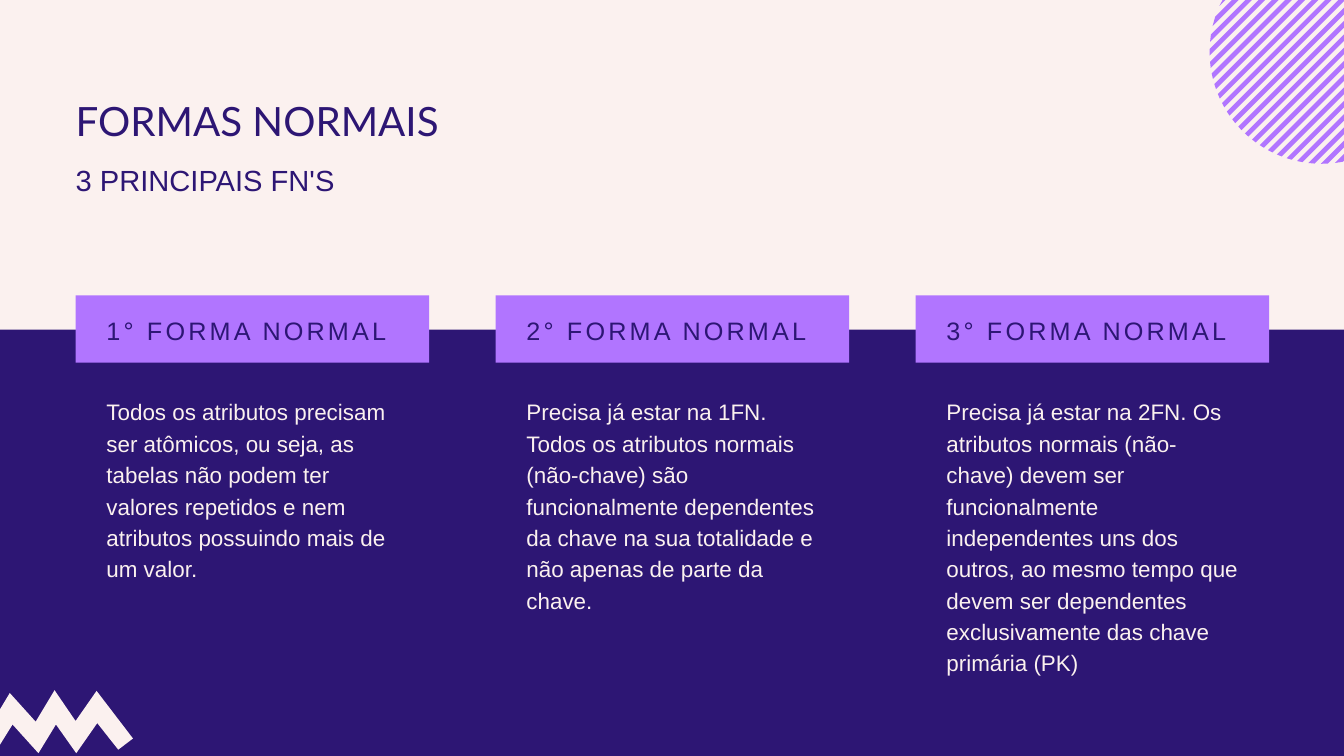
from math import sqrt

from pptx import Presentation
from pptx.dml.color import RGBColor
from pptx.enum.shapes import MSO_SHAPE
from pptx.enum.text import MSO_AUTO_SIZE
from pptx.util import Pt

PX = 9525
COLORS = {"navy": "2D1674", "cream": "FBF1EF", "violet": "B175FF"}

CARDS = [
    ("1° FORMA NORMAL", 262,
     ["Todos os atributos precisam ser atômicos, ou seja, as tabelas não "
      "podem ter valores repetidos e nem atributos possuindo mais de um valor."]),
    ("2° FORMA NORMAL", 306,
     ["Precisa já estar na 1FN.",
      "Todos os atributos normais (não-chave) são funcionalmente dependentes "
      "da chave na sua totalidade e não apenas de parte da chave."]),
    ("3° FORMA NORMAL", 350,
     ["Precisa já estar na 2FN. Os atributos normais (não-chave) devem ser "
      "funcionalmente independentes uns dos outros, ao mesmo tempo que devem "
      "ser dependentes exclusivamente das chave primária (PK)"]),
]

ZIGZAG = [(-10, 1080), (-32, 1067), (14, 990), (51, 1031), (78, 986),
          (108, 1030), (138, 987), (190, 1055), (169, 1071), (139, 1033),
          (109, 1076), (80, 1035), (55, 1076), (18, 1035)]


def px(value):
    return round(value * PX)


def rgb(name):
    return RGBColor.from_string(COLORS[name])


def paint(sp, color):
    sp.shadow.inherit = False
    sp.fill.solid()
    sp.fill.fore_color.rgb = rgb(color)
    sp.line.fill.background()


def add_rect(shapes, box, color):
    paint(shapes.add_shape(MSO_SHAPE.RECTANGLE, *map(px, box)), color)


def add_text(shapes, box, lines, size, leading, color, font="Arial", tracking=0):
    tf = shapes.add_textbox(*map(px, box)).text_frame
    tf.margin_left = tf.margin_top = tf.margin_right = tf.margin_bottom = 0
    tf.word_wrap = True
    tf.auto_size = MSO_AUTO_SIZE.SHAPE_TO_FIT_TEXT
    tf.text = "\n".join(lines)
    for p in tf.paragraphs:
        p.line_spacing = Pt(leading)
        for r in p.runs:
            r.font.size = Pt(size)
            r.font.name = font
            r.font.color.rgb = rgb(color)
            if tracking:
                r.font._element.set("spc", str(tracking))


def add_outline(shapes, contours, color):
    contours = [[(px(x), px(y)) for x, y in points] for points in contours]
    builder = shapes.build_freeform(*contours[0][0])
    builder.add_line_segments(contours[0][1:])
    for points in contours[1:]:
        builder.move_to(*points[0])
        builder.add_line_segments(points[1:])
    paint(builder.convert_to_shape(), color)


def stripe_chord(cx, cy, radius, offset):
    mid = offset / 2
    half = sqrt(radius ** 2 / 2 - mid ** 2)
    return [(cx + mid - half, cy + mid + half), (cx + mid + half, cy + mid - half)]


def add_striped_circle(shapes, cx, cy, radius):
    first, pitch, width, count = -221, 19, 9.5, 24
    stripes = []
    for i in range(count):
        start = first + i * pitch
        near = stripe_chord(cx, cy, radius, start)
        far = stripe_chord(cx, cy, radius, start + width)
        stripes.append(near + far[::-1])
    add_outline(shapes, stripes, "violet")


def add_heading(shapes):
    group = shapes.add_group_shape().shapes
    add_text(group, (108, 143, 1333, 66), ["FORMAS NORMAIS"], 43.2, 47.6, "navy", "Lato")
    add_text(group, (108, 240, 900, 45), ["3 PRINCIPAIS FN'S"], 31.2, 31.2, "navy")


def add_card(shapes, left, label, body_height, body):
    group = shapes.add_group_shape().shapes
    add_text(group, (left + 44, 563, 417, body_height), body, 24, 33.6, "cream")
    add_rect(group, (left, 422, 505, 96), "violet")
    add_text(group, (left + 44, 450, 417, 44), [label], 27, 32.4, "navy", tracking=340)


def main():
    prs = Presentation()
    prs.slide_width, prs.slide_height = px(1920), px(1080)
    slide = prs.slides.add_slide(prs.slide_layouts[6])
    slide.background.fill.solid()
    slide.background.fill.fore_color.rgb = rgb("navy")
    shapes = slide.shapes

    add_rect(shapes, (-60, -86, 2040, 557), "cream")
    add_heading(shapes)
    for i, card in enumerate(CARDS):
        add_card(shapes, 108 + 600 * i, *card)
    add_striped_circle(shapes, 1888, 74, 160)
    add_outline(shapes, [ZIGZAG], "cream")

    prs.save("out.pptx")


if __name__ == "__main__":
    main()
